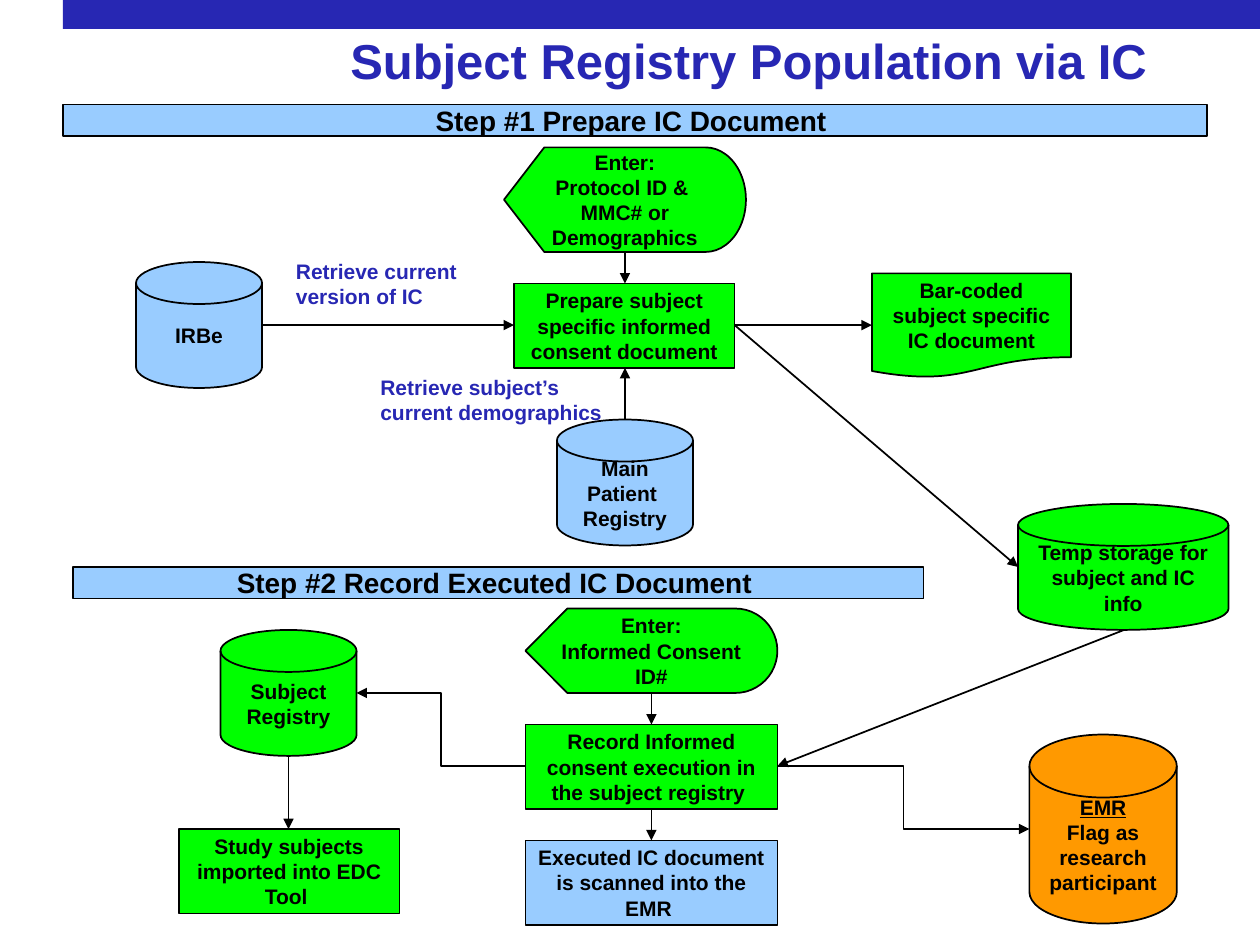
import pptx
import pptx.dml.color
import pptx.enum.shapes
import pptx.enum.text
import pptx.util
from lxml import etree
from pptx.util import Inches

HUES = {"navy": "2727B3", "sky": "99CCFF", "green": "00FF00",
        "orange": "FF9900", "black": "000000"}
KINDS = pptx.enum.shapes.MSO_SHAPE
LINKS = pptx.enum.shapes.MSO_CONNECTOR
ALIGN = pptx.enum.text.PP_ALIGN
ANCHOR = pptx.enum.text.MSO_ANCHOR
FIT = pptx.enum.text.MSO_AUTO_SIZE
BOX = KINDS.FLOWCHART_PROCESS
DISK = KINDS.FLOWCHART_MAGNETIC_DISK
ENTRY = KINDS.FLOWCHART_DISPLAY
PAPER = KINDS.FLOWCHART_DOCUMENT
NS = "http://schemas.openxmlformats.org/drawingml/2006/main"


def color(name):
    return pptx.dml.color.RGBColor.from_string(HUES[name])


def write(frame, text, size=12, hue="black", align=ALIGN.CENTER,
          anchor=ANCHOR.MIDDLE, wrap=True, head=False):
    frame.word_wrap = wrap
    frame.auto_size = FIT.NONE
    frame.vertical_anchor = anchor
    for row, line in enumerate(text.split("\n")):
        para = frame.add_paragraph() if row else frame.paragraphs[0]
        para.alignment = align
        run = para.add_run()
        run.text = line
        font = run.font
        font.name = "Arial"
        font.size = pptx.util.Pt(size)
        font.bold = True
        font.color.rgb = color(hue)
        if head and row == 0:
            font.underline = True


def shape(slide, kind, place, fill, text="", line=True, **form):
    item = slide.shapes.add_shape(kind, *map(Inches, place))
    item.shadow.inherit = False
    item.fill.solid()
    item.fill.fore_color.rgb = color(fill)
    if line:
        item.line.color.rgb = color("black")
        item.line.width = pptx.util.Pt(1)
    else:
        item.line.fill.background()
    if text:
        write(item.text_frame, text, **form)


def label(slide, place, text):
    item = slide.shapes.add_textbox(*map(Inches, place))
    write(item.text_frame, text, hue="navy", align=ALIGN.LEFT, anchor=ANCHOR.TOP)


def arrow(slide, start, end, kind=LINKS.STRAIGHT):
    item = slide.shapes.add_connector(kind, *map(Inches, start + end))
    item.line.color.rgb = color("black")
    item.line.width = pptx.util.Pt(1)
    tip = etree.SubElement(item.line._get_or_add_ln(), f"{{{NS}}}tailEnd")
    tip.set("type", "triangle")
    etree.SubElement(item._element.spPr, f"{{{NS}}}effectLst")


def title(slide, text):
    item = slide.shapes.title
    item.left, item.top, item.width, item.height = map(Inches, (2.68, 0.19, 6.52, 0.57))
    item.text_frame.margin_right = 0
    write(item.text_frame, text, size=28, hue="navy", align=ALIGN.LEFT,
          anchor=ANCHOR.TOP, wrap=False)


def banner(slide, place, text):
    shape(slide, BOX, place, "sky", text, size=16, wrap=False)


def prepare(slide):
    banner(slide, (0.5, 0.83, 9.08, 0.25), "Step #1 Prepare IC Document ")
    shape(slide, ENTRY, (4, 1.17, 1.92, 0.83), "green",
          "Enter:\nProtocol ID & \nMMC# or\nDemographics", wrap=False)
    shape(slide, BOX, (4.08, 2.25, 1.75, 0.67), "green",
          "Prepare subject specific informed consent document")
    shape(slide, DISK, (1.08, 2.08, 1, 1), "sky", "IRBe", wrap=False)
    shape(slide, DISK, (4.42, 3.33, 1.08, 1), "sky",
          "Main\nPatient \nRegistry", wrap=False)
    shape(slide, PAPER, (6.92, 2.17, 1.58, 0.83), "green",
          "Bar-coded subject specific IC document")
    shape(slide, DISK, (8.08, 4, 1.67, 1), "green",
          "Temp storage for subject and IC info")
    label(slide, (2.25, 2, 1.58, 0.5), "Retrieve current\nversion of IC")
    label(slide, (2.92, 2.92, 2.08, 0.5), "Retrieve subject’s current demographics")
    for start, end in (((2.08, 2.58), (4.08, 2.58)),
                       ((4.96, 2), (4.96, 2.25)),
                       ((4.96, 3.33), (4.96, 2.92)),
                       ((5.83, 2.58), (6.92, 2.58)),
                       ((5.83, 2.58), (8.08, 4.5))):
        arrow(slide, start, end)


def record(slide):
    banner(slide, (0.58, 4.5, 6.75, 0.25), "Step #2 Record Executed IC Document ")
    shape(slide, ENTRY, (4.17, 4.83, 2, 0.67), "green",
          "Enter:\nInformed Consent\nID#", wrap=False)
    shape(slide, BOX, (4.17, 5.75, 2, 0.67), "green",
          "Record Informed consent execution in the subject registry ")
    shape(slide, BOX, (4.17, 6.67, 2, 0.67), "sky",
          "Executed IC document is scanned into the EMR ")
    shape(slide, DISK, (1.75, 5, 1.08, 1), "green", "Subject Registry")
    shape(slide, BOX, (1.42, 6.58, 1.75, 0.67), "green",
          "Study subjects imported into EDC Tool ")
    shape(slide, DISK, (8.17, 5.83, 1.17, 1.5), "orange",
          "EMR\nFlag as research participant", head=True)
    for start, end in (((2.29, 6), (2.29, 6.58)),
                       ((5.17, 5.5), (5.17, 5.75)),
                       ((5.17, 6.42), (5.17, 6.67)),
                       ((8.92, 5), (6.17, 6.08))):
        arrow(slide, start, end)
    arrow(slide, (4.17, 6.08), (2.83, 5.5), LINKS.ELBOW)
    arrow(slide, (6.17, 6.08), (8.17, 6.58), LINKS.ELBOW)


def main():
    deck = pptx.Presentation()
    deck.slide_width, deck.slide_height = Inches(10), Inches(7.5)
    slide = deck.slides.add_slide(deck.slide_layouts[5])
    shape(slide, KINDS.RECTANGLE, (0.5, 0, 9.5, 0.23), "navy", line=False)
    title(slide, "Subject Registry Population via IC")
    prepare(slide)
    record(slide)
    deck.save("out.pptx")


if __name__ == "__main__":
    main()
